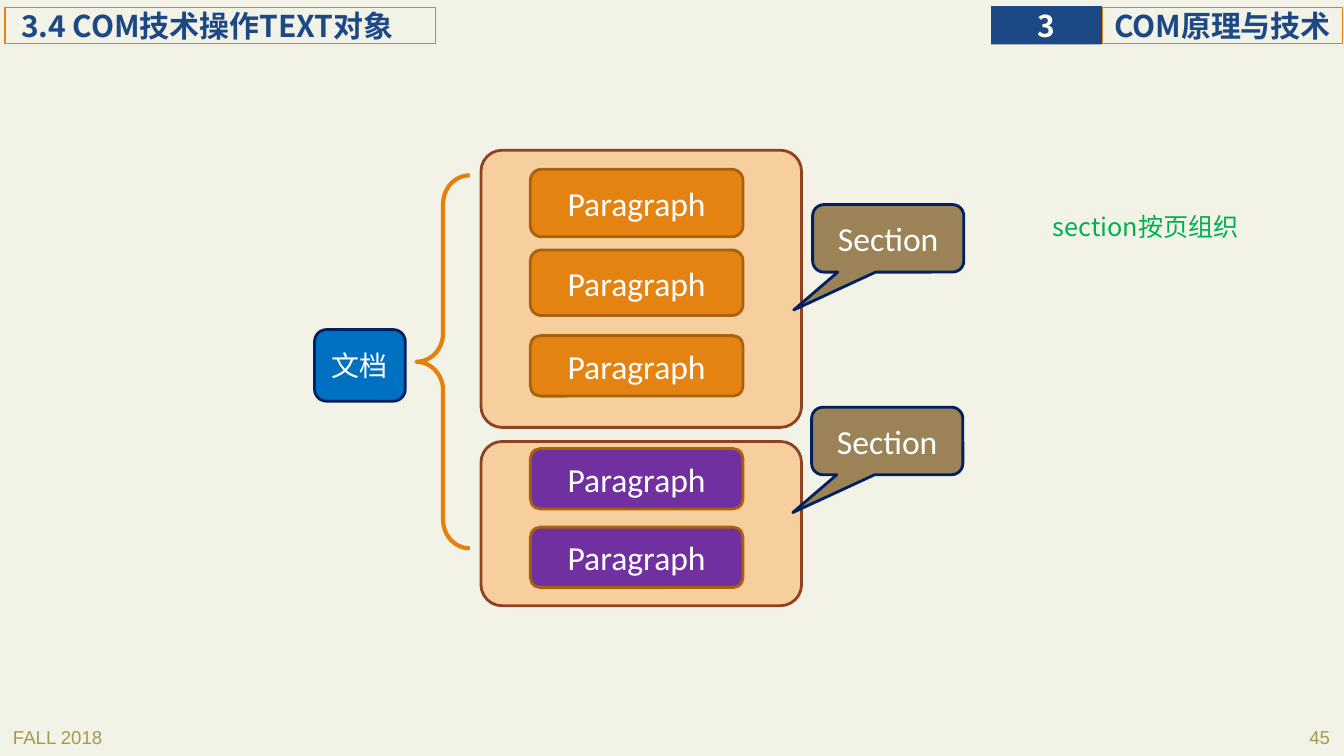
from dataclasses import dataclass

from lxml import etree
from pptx import Presentation
from pptx.dml.color import RGBColor
from pptx.enum.shapes import MSO_SHAPE
from pptx.enum.text import MSO_ANCHOR, PP_ALIGN
from pptx.oxml.ns import qn
from pptx.util import Inches, Pt

RECT = MSO_SHAPE.RECTANGLE
ROUNDED = MSO_SHAPE.ROUNDED_RECTANGLE
BRACE = MSO_SHAPE.LEFT_BRACE
CALLOUT = MSO_SHAPE.ROUNDED_RECTANGULAR_CALLOUT
LEFT, CENTER, RIGHT = PP_ALIGN.LEFT, PP_ALIGN.CENTER, PP_ALIGN.RIGHT
MIDDLE = MSO_ANCHOR.MIDDLE


@dataclass(frozen=True)
class Theme:
    """Colours, fonts and type sizes of the slide."""
    background: str = "F3F2E6"
    blue: str = "1C4885"
    orange: str = "E48312"
    orange_edge: str = "A9610D"
    brace: str = "E4810C"
    peach: str = "F7CE9D"
    peach_edge: str = "8E4221"
    purple: str = "7030A0"
    document: str = "0070C0"
    navy: str = "002060"
    callout: str = "9B8357"
    green: str = "00B050"
    footer: str = "A39B4E"
    white: str = "FFFFFF"
    body_font: str = "Calibri"
    cjk_font: str = "Noto Sans CJK SC"
    footer_font: str = "Arial"
    header_size: float = 21.4
    label_size: float = 24
    document_size: float = 20
    note_size: float = 18
    footer_size: float = 13.3


THEME = Theme()


def write(shape, text, *, size, color=THEME.white, font=THEME.body_font,
          bold=False, align=CENTER, insets=None):
    """Put one formatted line of text into a shape."""
    tf = shape.text_frame
    tf.word_wrap = True
    tf.vertical_anchor = MIDDLE
    if insets:
        (tf.margin_left, tf.margin_top,
         tf.margin_right, tf.margin_bottom) = map(Inches, insets)
    p = tf.paragraphs[0]
    p.alignment = align
    r = p.add_run()
    r.text = text
    r.font.size = Pt(size)
    r.font.bold = bold
    r.font.name = font
    r.font.color.rgb = RGBColor.from_string(color)
    ea = etree.SubElement(r.font._element, qn("a:ea"))
    ea.set("typeface", THEME.cjk_font)


def add_box(s, kind, box, *, fill=None, line=None, width=2, adj=()):
    """Add a preset shape with its fill, outline and adjustments."""
    sp = s.shapes.add_shape(kind, *map(Inches, box))
    sp.shadow.inherit = False
    for i, value in enumerate(adj):
        sp.adjustments[i] = value
    if fill:
        sp.fill.solid()
        sp.fill.fore_color.rgb = RGBColor.from_string(fill)
    else:
        sp.fill.background()
    if line:
        sp.line.color.rgb = RGBColor.from_string(line)
        sp.line.width = Pt(width)
    else:
        sp.line.fill.background()
    return sp


def add_text(s, box, text, **style):
    """Add a text box holding one line."""
    write(s.shapes.add_textbox(*map(Inches, box)), text, **style)


def add_heading(s, box, text, indent):
    """Add an outlined heading at the top of the slide."""
    sp = add_box(s, RECT, box, line=THEME.orange, width=0.75)
    write(sp, text, size=THEME.header_size, color=THEME.blue, bold=True,
          font=THEME.cjk_font, align=LEFT, insets=(indent, 0, 0, 0))


def add_chapter_number(s, box, text):
    """Add the filled chapter number beside the chapter heading."""
    sp = add_box(s, RECT, box, fill=THEME.blue)
    write(sp, text, size=THEME.header_size, bold=True,
          font=THEME.cjk_font, insets=(0, 0, 0, 0))


def add_section(s, top, height, paragraphs, fill):
    """Add a section panel with its stack of paragraph boxes."""
    add_box(s, ROUNDED, (4.77, top, 3.18, height), fill=THEME.peach,
            line=THEME.peach_edge, adj=(0.21 / height,))
    for y, h in paragraphs:
        sp = add_box(s, ROUNDED, (5.26, y, 2.11, h), fill=fill,
                     line=THEME.orange_edge)
        write(sp, "Paragraph", size=THEME.label_size)


def add_section_callout(s, left, top):
    """Add a callout that names a section panel."""
    sp = add_box(s, CALLOUT, (left, top, 1.5, 0.67), fill=THEME.callout,
                 line=THEME.navy, adj=(-0.625, 1.06, 0.167))
    write(sp, "Section", size=THEME.label_size)


def add_footer(s, left, text, align):
    """Add a footer line at the bottom of the slide."""
    add_text(s, (left, 7.16, 2.78, 0.31), text, size=THEME.footer_size,
             color=THEME.footer, font=THEME.footer_font, align=align)


def main():
    """Build the slide and save it."""
    prs = Presentation()
    prs.slide_width, prs.slide_height = Inches(13.33), Inches(7.5)
    s = prs.slides.add_slide(prs.slide_layouts[6])
    s.background.fill.solid()
    s.background.fill.fore_color.rgb = RGBColor.from_string(THEME.background)

    add_footer(s, 0.03, "FALL 2018", LEFT)
    add_footer(s, 10.51, "45", RIGHT)
    add_heading(s, (10.93, 0.07, 2.39, 0.36), "COM原理与技术", 0.12)
    add_chapter_number(s, (9.83, 0.06, 1.1, 0.38), "3")
    add_heading(s, (0.05, 0.07, 4.27, 0.36), "3.4 COM技术操作TEXT对象", 0.16)

    add_box(s, BRACE, (4.13, 1.74, 0.53, 3.7), line=THEME.brace, width=3,
            adj=(0.534, 0.5))
    document = add_box(s, ROUNDED, (3.12, 3.27, 0.9, 0.71),
                       fill=THEME.document, line=THEME.navy)
    write(document, "文档", size=THEME.document_size)

    add_section(s, 1.49, 2.75, [(1.68, 0.67), (2.48, 0.65), (3.33, 0.6)],
                THEME.orange)
    add_section(s, 4.38, 1.63, [(4.45, 0.6), (5.23, 0.6)], THEME.purple)
    add_section_callout(s, 8.06, 2.03)
    add_section_callout(s, 8.05, 4.04)
    add_text(s, (9.76, 2.05, 3.21, 0.4), "section按页组织",
             size=THEME.note_size, color=THEME.green, font=THEME.cjk_font)
    prs.save("out.pptx")


if __name__ == "__main__":
    main()
